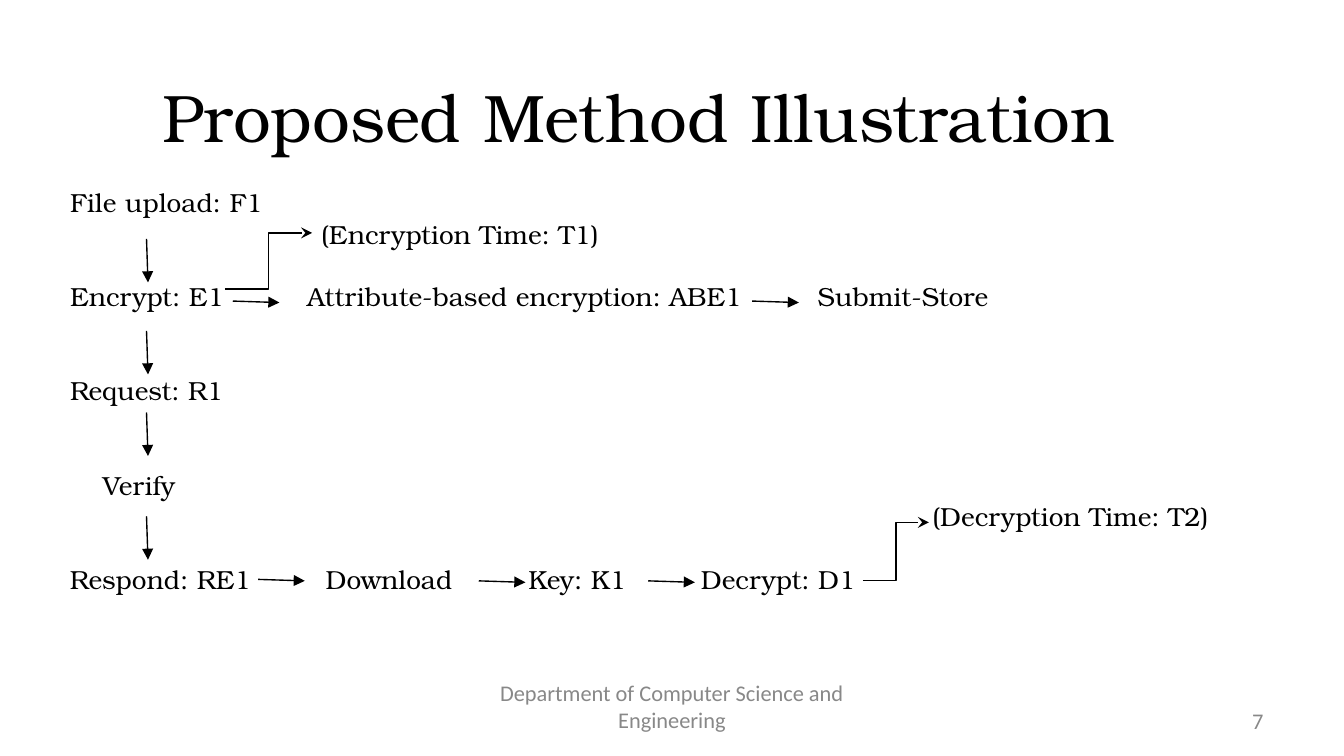
import pptx
import pptx.util
import pptx.dml.color
import pptx.enum.shapes
import pptx.enum.text
import pptx.oxml
import pptx.oxml.ns

Pt = pptx.util.Pt
ALIGN = pptx.enum.text.PP_ALIGN
ANCHOR = pptx.enum.text.MSO_ANCHOR
CONNECTOR = pptx.enum.shapes.MSO_CONNECTOR

BLACK = pptx.dml.color.RGBColor(0x00, 0x00, 0x00)
GREY = pptx.dml.color.RGBColor(0x88, 0x88, 0x88)
SERIF = "TeX Gyre Bonum"
SANS = "Calibri"

FIRST_ROW_TOP = 100
ROW_HEIGHT = 16.8

# Text, left edge, row number, width
STEPS = [
    ("File upload: F1", 37.5, 0, 115),
    ("(Encryption Time: T1)", 172, 1, 165),
    ("Encrypt: E1", 37.5, 3, 87),
    ("Attribute-based encryption: ABE1", 164.5, 3, 240),
    ("Submit-Store", 438, 3, 110),
    ("Request: R1", 37.5, 6, 90),
    ("Verify", 55, 9, 50),
    ("(Decryption Time: T2)", 499.5, 10, 165),
    ("Respond: RE1", 37.5, 12, 102),
    ("Download", 174.5, 12, 80),
    ("Key: K1", 283, 12, 62),
    ("Decrypt: D1", 375.5, 12, 88),
]

DOWN_ARROW_LEFT = 78.5
DOWN_ARROW_TOPS = [128, 177.3, 221, 276.6]
DOWN_ARROW_SPAN = (0.8, 23.3)

ACROSS_ARROW_STARTS = [(124.7, 161.3), (403, 161.3), (138.3, 310.4),
                       (256.5, 311.2), (347.3, 311.2)]
ACROSS_ARROW_SPAN = (25, 0.8)

# Start x, start y, end x, end y
TIME_BRANCHES = [(120.5, 154.8, 167.2, 124.8), (462.3, 311.2, 497.6, 279.9)]


def write_text(shape, text, size=14, font=SERIF, color=BLACK,
               align=ALIGN.LEFT, anchor=ANCHOR.MIDDLE, margins=(0, 0)):
    frame = shape.text_frame
    frame.word_wrap = True
    frame.auto_size = pptx.enum.text.MSO_AUTO_SIZE.NONE
    frame.vertical_anchor = anchor
    frame.margin_left = frame.margin_right = Pt(margins[0])
    frame.margin_top = frame.margin_bottom = Pt(margins[1])
    para = frame.paragraphs[0]
    para.alignment = align
    span = para.add_run()
    span.text = text
    span.font.name = font
    span.font.size = Pt(size)
    span.font.color.rgb = color


def add_text(slide, text, left, top, width, height, **text_format):
    box = slide.shapes.add_textbox(Pt(left), Pt(top), Pt(width), Pt(height))
    write_text(box, text, **text_format)


def add_title(slide, text):
    title = slide.shapes.title
    title.left, title.top = Pt(0), Pt(16.5)
    title.width, title.height = Pt(684), Pt(90.7)
    write_text(title, text, size=36, align=ALIGN.CENTER, margins=(7.2, 3.6))


def add_arrow(slide, start_x, start_y, end_x, end_y,
              kind=CONNECTOR.STRAIGHT, head="triangle"):
    arrow = slide.shapes.add_connector(
        kind, Pt(start_x), Pt(start_y), Pt(end_x), Pt(end_y))
    arrow.line.color.rgb = BLACK
    arrow.line.width = Pt(0.75)
    line = arrow.line._get_or_add_ln()
    tail = pptx.oxml.parse_xml(
        f'<a:tailEnd {pptx.oxml.ns.nsdecls("a")} type="{head}"/>')
    line.append(tail)
    effects = pptx.oxml.parse_xml(
        f'<a:effectLst {pptx.oxml.ns.nsdecls("a")}/>')
    line.addnext(effects)


def add_arrows(slide, starts, span):
    """Draw equal straight arrows, each reaching span (x, y) from its start."""
    for left, top in starts:
        add_arrow(slide, left, top, left + span[0], top + span[1])


def add_footer(slide):
    footer_format = dict(size=12, font=SANS, color=GREY, margins=(7.2, 3.6))
    add_text(slide, "Department of Computer Science and Engineering",
             246, 367.5, 228, 21.6, align=ALIGN.CENTER, **footer_format)
    add_text(slide, "7", 516, 375.3, 168, 21.6,
             align=ALIGN.RIGHT, **footer_format)


def main():
    deck = pptx.Presentation()
    deck.slide_width, deck.slide_height = Pt(720), Pt(405)
    slide = deck.slides.add_slide(deck.slide_layouts.get_by_name("Title Only"))

    add_title(slide, "Proposed Method Illustration")
    add_footer(slide)
    for text, left, row, width in STEPS:
        add_text(slide, text, left, FIRST_ROW_TOP + row * ROW_HEIGHT,
                 width, ROW_HEIGHT, anchor=ANCHOR.TOP)

    down_starts = [(DOWN_ARROW_LEFT, top) for top in DOWN_ARROW_TOPS]
    add_arrows(slide, down_starts, DOWN_ARROW_SPAN)
    add_arrows(slide, ACROSS_ARROW_STARTS, ACROSS_ARROW_SPAN)
    for branch in TIME_BRANCHES:
        add_arrow(slide, *branch, kind=CONNECTOR.ELBOW, head="stealth")

    deck.save("out.pptx")


if __name__ == "__main__":
    main()
